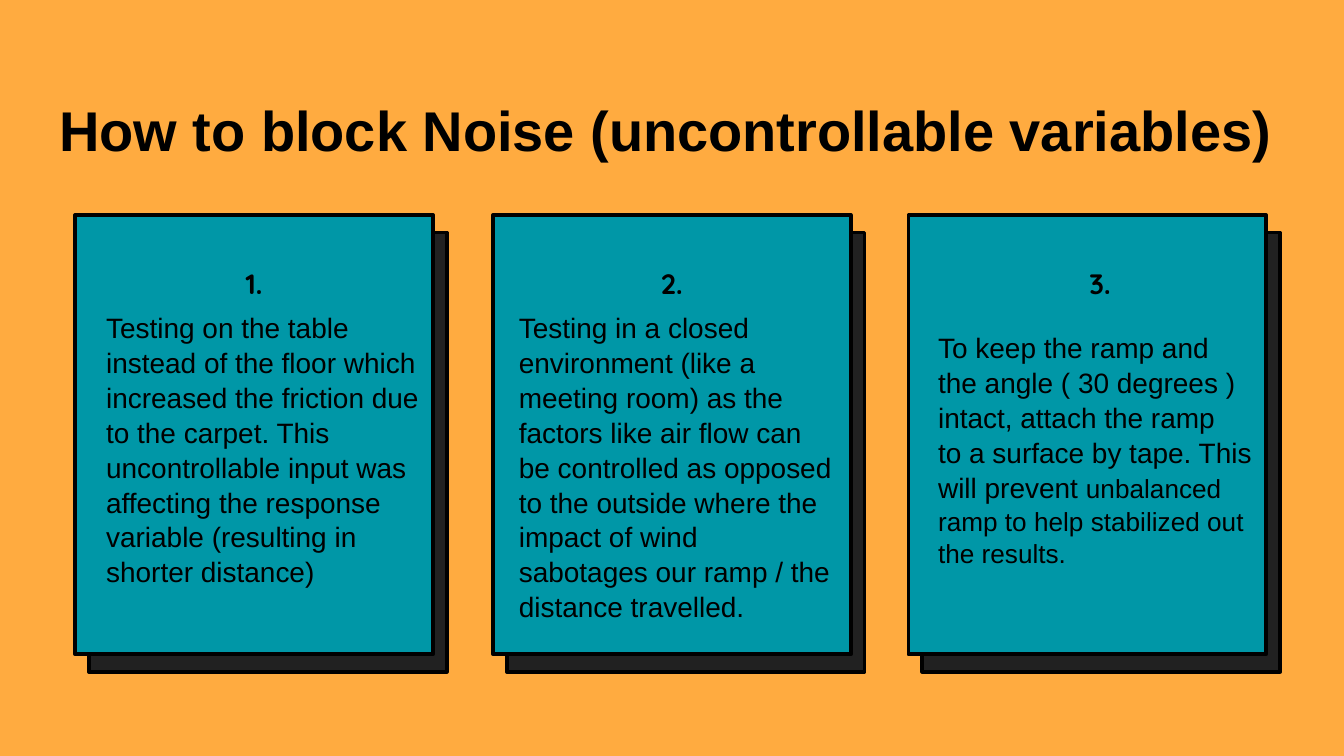
from lxml.etree import SubElement
from pptx import Presentation
from pptx.dml.color import RGBColor
from pptx.enum.shapes import MSO_SHAPE as Shape
from pptx.enum.text import MSO_ANCHOR as Anchor, MSO_AUTO_SIZE as AutoSize, PP_ALIGN as Align
from pptx.oxml.ns import qn
from pptx.util import Pt

BACKGROUND, TEAL, CHARCOAL, BLACK = "FFAB40", "0097A7", "212121", "000000"
CARD_TOP, CARD_WIDTH, CARD_HEIGHT = 115.2, 191.6, 235.4
SHADE_DX, SHADE_DY = 7.4, 9.4
SIDE, EDGE = 5.04, 2.88

REASONS = [
    {"number": "1.", "card_left": 40.3, "number_inset": SIDE,
     "box": (51.8, 162.7, 177.8, 164.2),
     "text": "Testing on the table instead of the floor which increased the friction "
             "due to the carpet. This uncontrollable input was affecting the response "
             "variable (resulting in shorter distance)", "ending": ""},
    {"number": "2.", "card_left": 264.2, "number_inset": SIDE,
     "box": (272.9, 162.7, 177.8, 164.2),
     "text": "Testing in a closed environment (like a meeting room) as the factors like "
             "air flow can be controlled as opposed to the outside where the impact of "
             "wind sabotages our ramp / the distance travelled.", "ending": ""},
    {"number": "3.", "card_left": 486.7, "number_inset": 18.7,
     "box": (497.5, 173.5, 191.5, 164.2),
     "text": "To keep the ramp and \nthe angle ( 30 degrees ) \nintact, attach the ramp \n"
             "to a surface by tape. This will prevent ",
     "ending": "unbalanced ramp to help stabilized out the results."},
]


def color(value):
    return RGBColor.from_string(value)


def place(holder, left, top, width, height):
    holder.left, holder.top = Pt(left), Pt(top)
    holder.width, holder.height = Pt(width), Pt(height)


def prepare_frame(frame, left_inset, top_inset, anchor):
    frame.word_wrap = True
    frame.auto_size = AutoSize.NONE
    frame.vertical_anchor = anchor
    frame.margin_left, frame.margin_right = Pt(left_inset), Pt(SIDE)
    frame.margin_top, frame.margin_bottom = Pt(top_inset), Pt(EDGE)


def format_run(run, size, face="Arial", bold=False):
    run.font.name = face
    run.font.size = Pt(size)
    run.font.bold = bold
    run.font.color.rgb = color(BLACK)


def add_panel(slide, left, top, fill):
    panel = slide.shapes.add_shape(Shape.RECTANGLE, Pt(left), Pt(top),
                                   Pt(CARD_WIDTH), Pt(CARD_HEIGHT))
    panel.shadow.inherit = False
    panel.fill.solid()
    panel.fill.fore_color.rgb = color(fill)
    panel.line.color.rgb = color(BLACK)
    panel.line.width = Pt(2)
    return panel


def add_card(slide, reason):
    left = reason["card_left"]
    add_panel(slide, left + SHADE_DX, CARD_TOP + SHADE_DY, CHARCOAL)
    card = add_panel(slide, left, CARD_TOP, TEAL)
    prepare_frame(card.text_frame, reason["number_inset"], 29.5, Anchor.TOP)
    number = card.text_frame.paragraphs[0]
    number.text = reason["number"]
    number.alignment = Align.CENTER
    number.line_spacing = 0.9
    format_run(number.runs[0], 15, "Quicksand", True)


def fill_reason(slide, holder, reason):
    place(holder, *reason["box"])
    prepare_frame(holder.text_frame, SIDE, EDGE, Anchor.TOP)
    explanation = holder.text_frame.paragraphs[0]
    explanation.text = reason["text"]
    properties = explanation._p.get_or_add_pPr()
    properties.set("marL", "0")
    properties.set("indent", "0")
    SubElement(properties, qn("a:buNone"))
    explanation.alignment = Align.LEFT
    explanation.line_spacing = 1.04
    explanation.space_before = Pt(0)
    for run in explanation.runs:
        format_run(run, 15)
    if reason["ending"]:
        ending = explanation.add_run()
        ending.text = reason["ending"]
        format_run(ending, 14)
    slide.shapes._spTree.append(holder._element)


def fill_title(title):
    place(title, 7.2, 48.2, 699.1, 41.8)
    prepare_frame(title.text_frame, SIDE, EDGE, Anchor.MIDDLE)
    title.text_frame.text = "How to block Noise (uncontrollable variables)"
    heading = title.text_frame.paragraphs[0]
    heading.alignment = Align.CENTER
    format_run(heading.runs[0], 30, bold=True)


def main():
    deck = Presentation()
    deck.slide_width, deck.slide_height = Pt(720), Pt(405)
    slide = deck.slides.add_slide(deck.slide_layouts[4])
    slide.background.fill.solid()
    slide.background.fill.fore_color.rgb = color(BACKGROUND)

    title, *bodies = list(slide.placeholders)
    spare = bodies.pop()
    spare._element.getparent().remove(spare._element)
    fill_title(title)
    for holder, reason in zip(bodies, REASONS):
        add_card(slide, reason)
        fill_reason(slide, holder, reason)

    deck.save("out.pptx")


if __name__ == "__main__":
    main()
